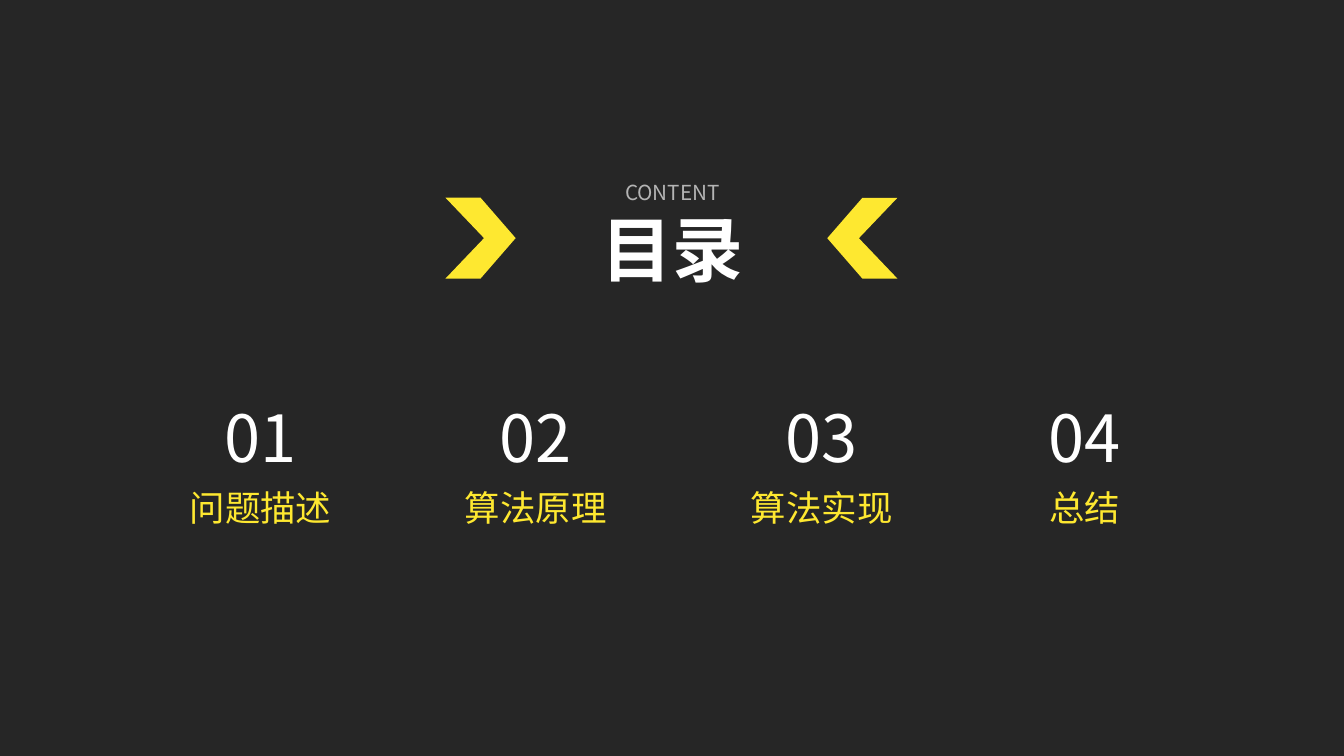
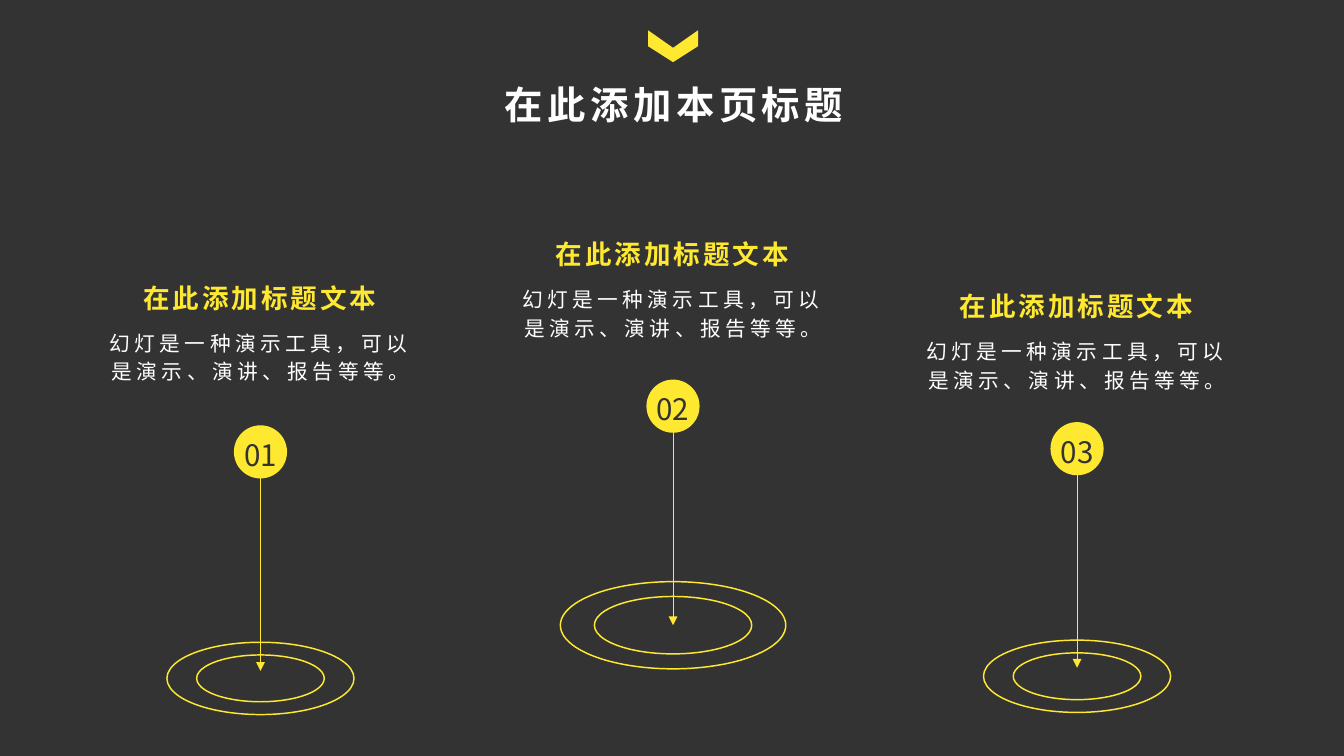
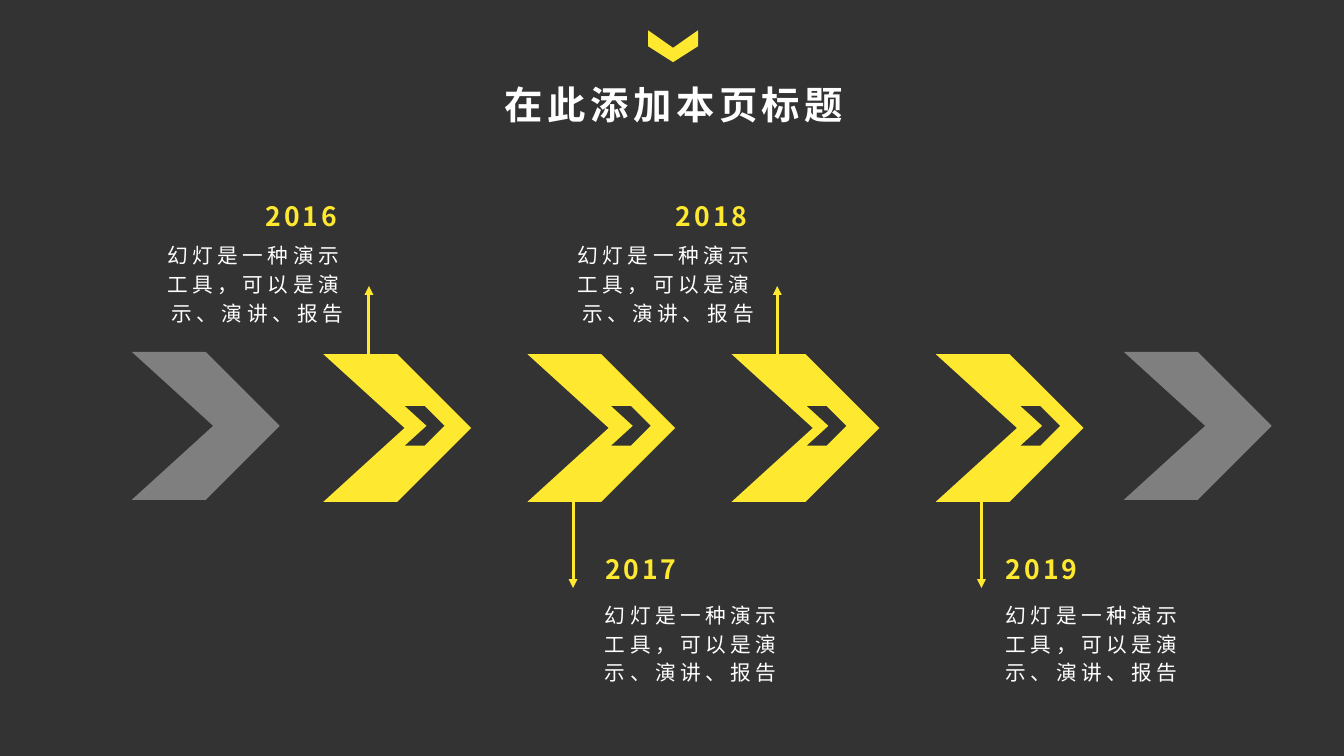
from dataclasses import dataclass

from lxml.etree import SubElement
from pptx import Presentation
from pptx.dml.color import RGBColor
from pptx.enum.shapes import MSO_CONNECTOR, MSO_SHAPE
from pptx.enum.text import MSO_ANCHOR, PP_ALIGN
from pptx.oxml.ns import qn
from pptx.util import Inches, Pt


@dataclass(frozen=True)
class Theme:
    font = "Noto Sans CJK SC"
    cover = RGBColor(0x26, 0x26, 0x26)
    dark = RGBColor(0x33, 0x33, 0x33)
    yellow = RGBColor(0xFE, 0xE8, 0x30)
    white = RGBColor(0xFF, 0xFF, 0xFF)
    grey = RGBColor(0x7F, 0x7F, 0x7F)
    contents = 48
    number = 44
    title = 26
    entry = 24
    badge = 20
    heading = 18
    body = 14


T = Theme()


def write(sp, text, size, colour, bold=False, spacing=0, align=PP_ALIGN.CENTER):
    """Put one styled paragraph in a shape; spacing is between letters, in points."""
    tf = sp.text_frame
    tf.word_wrap = True
    tf.margin_left = tf.margin_right = Inches(0.14)
    tf.margin_top = tf.margin_bottom = Inches(0.07)
    p = tf.paragraphs[0]
    p.alignment = align
    p.line_spacing = 1.16
    r = p.add_run()
    r.text = text
    r.font.size = Pt(size)
    r.font.bold = bold
    r.font.color.rgb = colour
    r.font.name = T.font
    rPr = r.font._element
    SubElement(rPr, qn("a:ea"), typeface=T.font)
    if spacing:
        rPr.set("spc", str(spacing * 100))
    return r


def arrow(s, x, y1, y2, width):
    """Draw a vertical arrow that points at y2."""
    line = s.shapes.add_connector(
        MSO_CONNECTOR.STRAIGHT, Inches(x), Inches(y1), Inches(x), Inches(y2))
    line.line.color.rgb = T.yellow
    line.line.width = Pt(width)
    SubElement(line.line._get_or_add_ln(), qn("a:tailEnd"), type="triangle")
    SubElement(line._element.spPr, qn("a:effectLst"))


prs = Presentation()
prs.slide_width, prs.slide_height = Inches(12.64), Inches(7.11)

slides = []
for colour in (T.cover, T.dark, T.dark):
    s = prs.slides.add_slide(prs.slide_layouts[6])
    s.background.fill.solid()
    s.background.fill.fore_color.rgb = colour
    slides.append(s)
contents, stages, timeline = slides

# Chevrons: slide, left, top, width, height, rotation, colour
step_lefts = [3.04 + 1.92 * i for i in range(4)]
chevrons = [
    (contents, 4.19, 1.86, 0.66, 0.76, 0, T.yellow),
    (contents, 7.78, 1.86, 0.66, 0.76, 180, T.yellow),
    (stages, 6.18, 0.2, 0.3, 0.47, 90, T.yellow),
    (timeline, 6.18, 0.2, 0.3, 0.47, 90, T.yellow),
]
chevrons += [(timeline, x, 3.31, 1.39, 1.39, 0, T.grey) for x in (1.24, 10.57)]
chevrons += [(timeline, x, 3.33, 1.39, 1.39, 0, T.yellow) for x in step_lefts]
chevrons += [(timeline, x, 3.82, 0.37, 0.37, 0, T.dark) for x in (3.81, 5.75, 7.59, 9.6)]

outline = [(0.5, 1), (0, 1), (0.55, 0.5), (0, 0), (0.5, 0), (1, 0.5)]
for s, x, y, w, h, rotation, colour in chevrons:
    points = [(Inches(x + w * px), Inches(y + h * py)) for px, py in outline]
    builder = s.shapes.build_freeform(*points[0])
    builder.add_line_segments(points[1:], close=True)
    sp = builder.convert_to_shape()
    sp.rotation = rotation
    sp.shadow.inherit = False
    sp.fill.solid()
    sp.fill.fore_color.rgb = colour
    sp.line.fill.background()

for s in (stages, timeline):
    sp = s.shapes.add_textbox(Inches(4.43), Inches(0.62), Inches(3.82), Inches(0.64))
    write(sp, "在此添加本页标题", T.title, T.white, bold=True, spacing=3)

# Contents
s = contents
sp = s.shapes.add_textbox(Inches(5.15), Inches(1.58), Inches(2.35), Inches(0.58))
r = write(sp, "CONTENT", T.body, T.white)
SubElement(r.font._element.find(".//" + qn("a:srgbClr")), qn("a:alpha"), val="66000")
sp = s.shapes.add_textbox(Inches(5.39), Inches(1.74), Inches(1.87), Inches(1.07))
write(sp, "目录", T.contents, T.white, bold=True)

entries = [(2.45, "问题描述"), (5.04, "算法原理"), (7.73, "算法实现"), (10.2, "总结")]
for i, (cx, entry) in enumerate(entries, 1):
    sp = s.shapes.add_textbox(Inches(cx - 0.69), Inches(3.55), Inches(1.38), Inches(0.99))
    write(sp, f"{i:02}", T.number, T.white)
    sp = s.shapes.add_textbox(Inches(cx - 0.87), Inches(4.44), Inches(1.74), Inches(0.6))
    write(sp, entry, T.entry, T.yellow)

# Stages: centre, heading top, badge centre, ring centre, ring sizes
s = stages
small, large = [(1.76, 0.68), (1.2, 0.44)], [(2.12, 0.82), (1.48, 0.54)]
pins = [
    (2.45, 2.53, 4.25, 6.38, small),
    (6.33, 2.12, 3.82, 5.88, large),
    (10.13, 2.61, 4.22, 6.36, small),
]
for i, (cx, top, badge_y, ring_y, rings) in enumerate(pins, 1):
    for w, h in rings:
        ring = s.shapes.add_shape(
            MSO_SHAPE.OVAL, Inches(cx - w / 2), Inches(ring_y - h / 2), Inches(w), Inches(h))
        ring.shadow.inherit = False
        ring.fill.background()
        ring.line.color.rgb = T.yellow
        ring.line.width = Pt(1)

    arrow(s, cx, badge_y, badge_y + 2.06, 0.5)
    badge = s.shapes.add_shape(
        MSO_SHAPE.OVAL, Inches(cx - 0.25), Inches(badge_y - 0.25), Inches(0.5), Inches(0.5))
    badge.shadow.inherit = False
    badge.fill.solid()
    badge.fill.fore_color.rgb = T.yellow
    badge.line.fill.background()
    write(badge, f"{i:02}", T.badge, T.dark)
    badge.text_frame.word_wrap = False
    badge.text_frame.vertical_anchor = MSO_ANCHOR.MIDDLE

    sp = s.shapes.add_textbox(Inches(cx - 1.32), Inches(top), Inches(2.63), Inches(0.49))
    write(sp, "在此添加标题文本", T.heading, T.yellow, bold=True, spacing=2)
    sp = s.shapes.add_textbox(Inches(cx - 1.65), Inches(top + 0.47), Inches(3.3), Inches(0.67))
    write(sp, "幻灯是一种演示工具，可以是演示、演讲、报告等等。", T.body, T.white, spacing=3)

# Timeline: odd steps point up, even steps point down
s = timeline
for i, (x, text_left) in enumerate(zip(step_lefts, (1.23, 5.55, 5.09, 9.32))):
    if i % 2 == 0:
        arrow(s, x + 0.43, 3.5, 2.69, 2)
        year_left, year_top, body_top, align = text_left + 0.63, 1.76, 2.18, PP_ALIGN.RIGHT
    else:
        arrow(s, x + 0.43, 4.56, 5.53, 2)
        year_left, year_top, body_top, align = text_left, 5.08, 5.56, PP_ALIGN.LEFT
    sp = s.shapes.add_textbox(Inches(year_left), Inches(year_top), Inches(1.45), Inches(0.49))
    write(sp, str(2016 + i), T.heading, T.yellow, bold=True, spacing=2, align=align)
    sp = s.shapes.add_textbox(Inches(text_left), Inches(body_top), Inches(2.14), Inches(1.19))
    write(sp, "幻灯是一种演示工具，可以是演示、演讲、报告", T.body, T.white, spacing=3, align=align)

prs.save("out.pptx")
